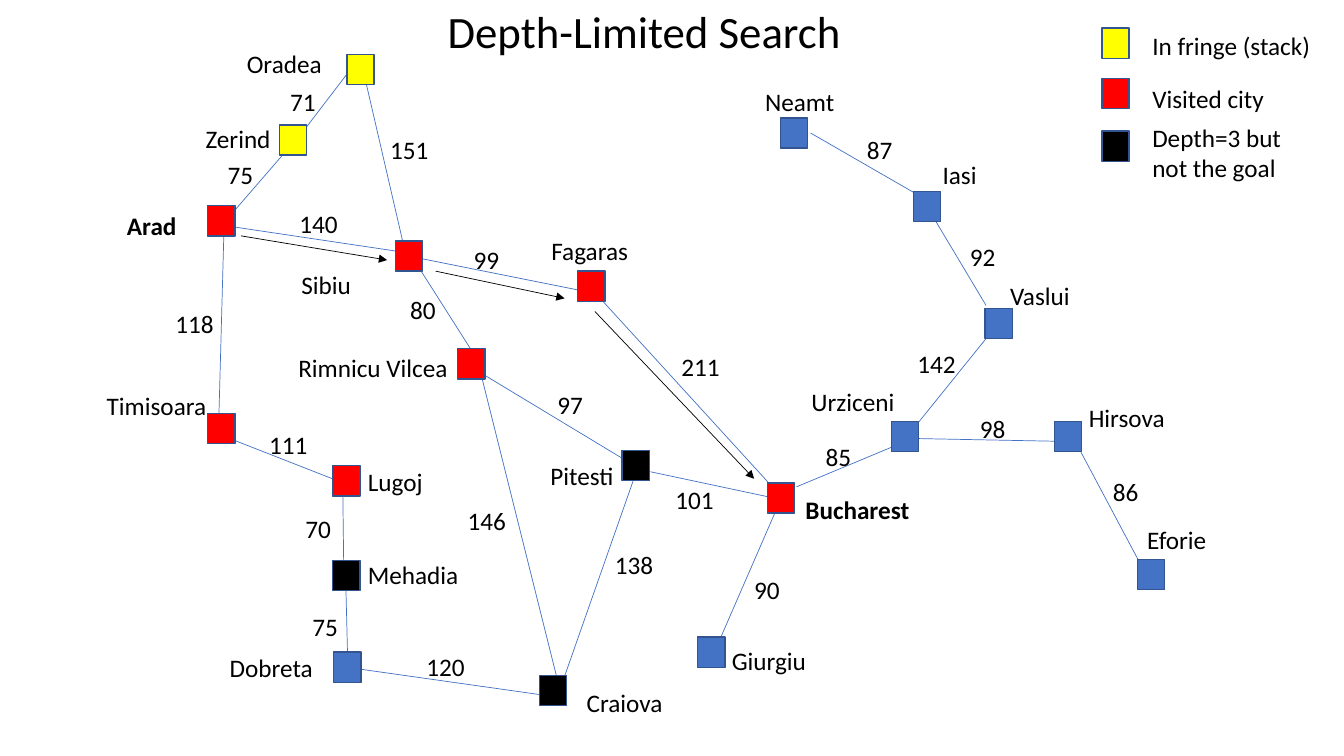
"""Draw a road map of cities with the state of a depth-limited search."""
from lxml import etree
from pptx import Presentation, util as u
from pptx.dml.color import RGBColor
from pptx.enum import shapes, text
from pptx.oxml import ns

COLS, ROWS = 13.33, 7.5
SIDE, TALL = 0.27, 0.3
BLUE, EDGE, RED = "4472C4", "325491", "FF0000"
GOLD, BLACK = "FFFF00", "000000"

CITIES = [
    ("Arad", 2.06, 2.04, RED, 1.16, 2.04, 0.72),
    ("Zerind", 2.77, 1.24, GOLD, 1.94, 1.17, 0.85),
    ("Oradea", 3.44, 0.54, GOLD, 2.35, 0.43, 0.97),
    ("Sibiu", 3.92, 2.39, RED, 2.89, 2.62, 0.85),
    ("Timisoara", 2.06, 4.1, RED, 0.96, 3.82, 1.21),
    ("Lugoj", 3.3, 4.62, RED, 3.55, 4.58, 1.18),
    ("Mehadia", 3.3, 5.56, BLACK, 3.55, 5.5, 1.18),
    ("Dobreta", 3.31, 6.47, BLUE, 2.18, 6.42, 1.18),
    ("Fagaras", 5.73, 2.69, RED, 5.37, 2.29, 1.02),
    ("Rimnicu Vilcea", 4.54, 3.46, RED, 2.86, 3.45, 1.82),
    ("Pitesti", 6.17, 4.47, BLACK, 5.36, 4.52, 1.02),
    ("Craiova", 5.35, 6.7, BLACK, 5.72, 6.77, 1.18),
    ("Bucharest", 7.61, 4.79, RED, 7.89, 4.86, 1.24),
    ("Giurgiu", 6.92, 6.32, BLUE, 7.16, 6.35, 1.18),
    ("Neamt", 7.74, 1.17, BLUE, 7.49, 0.81, 1.18),
    ("Iasi", 9.06, 1.9, BLUE, 9.25, 1.53, 1.18),
    ("Vaslui", 9.77, 3.06, BLUE, 9.92, 2.73, 1.18),
    ("Urziceni", 8.84, 4.18, BLUE, 7.95, 3.78, 1.18),
    ("Hirsova", 10.46, 4.18, BLUE, 10.7, 3.94, 1.18),
    ("Eforie", 11.28, 5.55, BLUE, 11.28, 5.15, 1.18),
]
ENDS = ("Arad", "Bucharest")

ROADS = [
    (87, (8.04, 1.32), (9.15, 1.96), (8.5, 1.28)),
    (92, (9.26, 2.16), (9.78, 3.03), (9.52, 2.34)),
    (142, (9.86, 3.26), (9.11, 4.19), (9, 3.41)),
    (98, (9.06, 4.35), (10.6, 4.38), (9.62, 4.05)),
    (86, (10.66, 4.37), (11.34, 5.65), (10.94, 4.68)),
    (71, (3.56, 0.58), (2.91, 1.43), (2.78, 0.81)),
    (75, (2.94, 1.38), (2.23, 2.2), (2.16, 1.53)),
    (118, (2.22, 2.34), (2.17, 4.18), (1.64, 3.01)),
    (111, (2.2, 4.32), (3.4, 4.79), (2.57, 4.21)),
    (70, (3.4, 4.87), (3.41, 5.69), (2.93, 5.04)),
    (75, (3.43, 5.8), (3.45, 6.61), (3, 6.02)),
    (120, (3.37, 6.61), (5.49, 6.91), (4.13, 6.41)),
    (151, (3.6, 0.69), (4, 2.42), (3.77, 1.28)),
    (140, (2.31, 2.25), (3.92, 2.49), (2.87, 2.02)),
    (80, (3.98, 2.38), (4.73, 3.56), (3.97, 2.87)),
    (99, (4.15, 2.56), (5.85, 2.9), (4.6, 2.37)),
    (146, (4.75, 3.63), (5.55, 6.83), (4.54, 4.96)),
    (85, (7.9, 4.83), (8.93, 4.4), (8.09, 4.33)),
    (90, (7.12, 6.39), (7.72, 5.01), (7.38, 5.65)),
    (97, (4.72, 3.67), (6.26, 4.6), (5.43, 3.81)),
    (138, (5.55, 6.85), (6.35, 4.57), (6, 5.4)),
    (211, (5.88, 2.88), (7.77, 4.95), (6.66, 3.44)),
    (101, (6.45, 4.68), (7.72, 4.95), (6.6, 4.76)),
]

STEPS = [
    ((2.39, 2.34), (3.84, 2.58)),
    ((4.32, 2.69), (5.6, 2.96)),
    ((5.9, 3.09), (7.48, 4.75)),
]

KEYS = [
    ("In fringe (stack)", GOLD, 0.28, 0.25, 0.4),
    ("Visited city", RED, 0.78, 0.78, 0.4),
    ("Depth=3 but not the goal", BLACK, 1.3, 1.16, 0.71),
]


def hue(code):
    return RGBColor.from_string(code)


class Chart:
    """Hold the style and the slide, on a grid of COLS by ROWS cells."""

    def __init__(self, deck, font="Calibri", size=18):
        self.slide = deck.slides.add_slide(deck.slide_layouts[6])
        self.wide, self.high = deck.slide_width, deck.slide_height
        self.font, self.size = font, size

    def col(self, n):
        return round(self.wide * n / COLS)

    def row(self, n):
        return round(self.high * n / ROWS)

    def mark(self, x, y, fill):
        box = self.slide.shapes.add_shape(
            shapes.MSO_SHAPE.RECTANGLE,
            self.col(x), self.row(y), self.col(SIDE), self.row(TALL))
        box.shadow.inherit = False
        box.fill.solid()
        box.fill.fore_color.rgb = hue(fill)
        box.line.color.rgb = hue(EDGE)
        box.line.width = u.Pt(1)

    def line(self, start, end, color=BLUE, head=False):
        link = self.slide.shapes.add_connector(
            shapes.MSO_CONNECTOR.STRAIGHT,
            self.col(start[0]), self.row(start[1]),
            self.col(end[0]), self.row(end[1]))
        link.line.color.rgb = hue(color)
        link.line.width = u.Pt(0.5)
        if head:
            tip = etree.SubElement(link.line._get_or_add_ln(), ns.qn("a:tailEnd"))
            tip.set("type", "triangle")
        etree.SubElement(link._element.spPr, ns.qn("a:effectLst"))

    def label(self, words, x, y, w, h=0.4, bold=False, size=None):
        box = self.slide.shapes.add_textbox(
            self.col(x), self.row(y), self.col(w), self.row(h))
        frame = box.text_frame
        frame.word_wrap = True
        frame.auto_size = text.MSO_AUTO_SIZE.SHAPE_TO_FIT_TEXT
        frame.text = words
        font = frame.paragraphs[0].runs[0].font
        font.name, font.size = self.font, u.Pt(size or self.size)
        font.bold = bold
        font.color.rgb = hue(BLACK)


deck = Presentation()
deck.slide_width, deck.slide_height = u.Inches(COLS), u.Inches(ROWS)
chart = Chart(deck)

for miles, start, end, spot in ROADS:
    chart.line(start, end)
    chart.label(str(miles), *spot, 0.85)
for name, x, y, fill, left, top, wide in CITIES:
    chart.mark(x, y, fill)
    chart.label(name, left, top, wide, bold=name in ENDS)
for start, end in STEPS:
    chart.line(start, end, BLACK, head=True)

chart.label("Depth-Limited Search", 4.34, -0.01, 4.15, 0.64, size=32)
for words, fill, y, top, high in KEYS:
    chart.mark(10.93, y, fill)
    chart.label(words, 11.33, top, 1.85, high)

deck.save("out.pptx")
